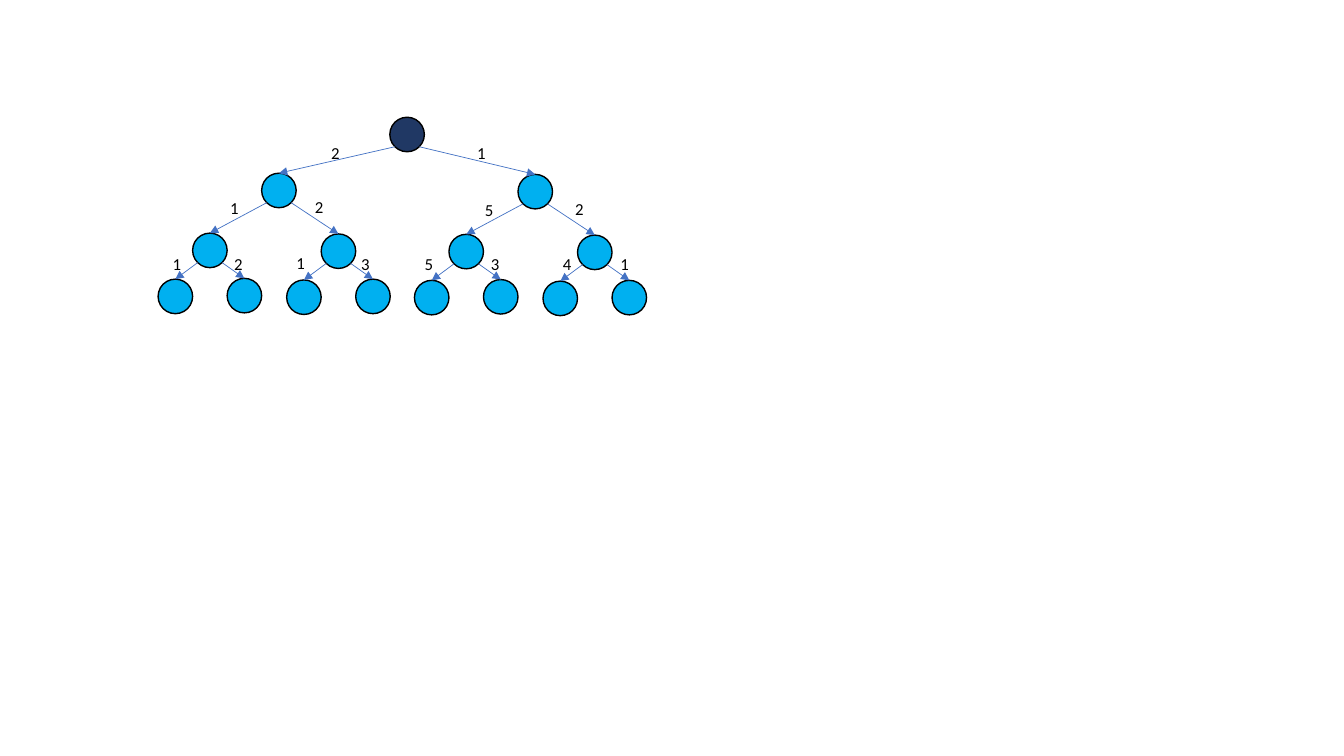
from dataclasses import dataclass
from lxml.etree import SubElement
from pptx import Presentation
from pptx.dml.color import RGBColor
from pptx.enum.shapes import MSO_CONNECTOR, MSO_SHAPE
from pptx.enum.text import MSO_AUTO_SIZE, PP_ALIGN
from pptx.oxml.ns import qn
from pptx.util import Cm, Pt


@dataclass(frozen=True)
class Theme:
    root = RGBColor.from_string("203864")
    node = RGBColor.from_string("00B0F0")
    edge = RGBColor.from_string("4472C4")
    ink = RGBColor.from_string("000000")
    font = "Calibri"
    size = Pt(12)
    rim = Pt(1)
    thin = Pt(0.5)


theme = Theme()
deck = Presentation()
deck.slide_width, deck.slide_height = Cm(33.87), Cm(19.05)
slide = deck.slides.add_slide(deck.slide_layouts[6])
tree = slide.shapes.add_group_shape().shapes

side = 0.87
slant = side / 2 * 0.71
steps = [
    [(-3.23, 1.41), (3.23, 1.44)],
    [(-1.74, 1.51), (1.5, 1.53)],
    [(-side, 1.16), (side, 1.14)],
]

spots = [(10.26, 3.39)]
for level in steps:
    first = len(spots) // 2
    for x, y in spots[first:]:
        spots += [(x + dx, y + dy) for dx, dy in level]

nodes = []
for x, y in spots:
    node = tree.add_shape(
        MSO_SHAPE.OVAL, Cm(x - side / 2), Cm(y - side / 2), Cm(side), Cm(side)
    )
    node.shadow.inherit = False
    node.fill.solid()
    node.fill.fore_color.rgb = theme.node if nodes else theme.root
    node.line.color.rgb = theme.ink
    node.line.width = theme.rim
    nodes.append(node)

for index in range(1, len(nodes)):
    x, y = spots[(index - 1) // 2]
    turn = -slant if index % 2 else slant
    end_x, end_y = spots[index]
    edge = tree.add_connector(
        MSO_CONNECTOR.STRAIGHT,
        Cm(x + turn), Cm(y + slant), Cm(end_x), Cm(end_y - side / 2),
    )
    edge.end_connect(nodes[index], 0)
    edge.line.color.rgb = theme.edge
    edge.line.width = theme.thin
    SubElement(edge.line._get_or_add_ln(), qn("a:tailEnd"), type="triangle")
    SubElement(edge._element.spPr, qn("a:effectLst"))

costs = [
    ("2", 8.45, 3.84), ("1", 12.13, 3.86),
    ("1", 5.91, 5.23), ("2", 8.04, 5.21),
    ("5", 12.33, 5.28), ("2", 14.6, 5.26),
    ("1", 4.46, 6.65), ("2", 6.01, 6.65),
    ("1", 7.58, 6.63), ("3", 9.21, 6.65),
    ("5", 10.81, 6.65), ("3", 12.48, 6.65),
    ("4", 14.29, 6.65), ("1", 15.74, 6.65),
]
wide, high = 0.74, 0.76
for cost, x, y in costs:
    label = tree.add_textbox(Cm(x - wide / 2), Cm(y - high / 2), Cm(wide), Cm(high))
    frame = label.text_frame
    frame.word_wrap = False
    frame.auto_size = MSO_AUTO_SIZE.SHAPE_TO_FIT_TEXT
    line = frame.paragraphs[0]
    line.alignment = PP_ALIGN.CENTER
    run = line.add_run()
    run.text = cost
    run.font.name = theme.font
    run.font.size = theme.size
    run.font.color.rgb = theme.ink

deck.save("out.pptx")
